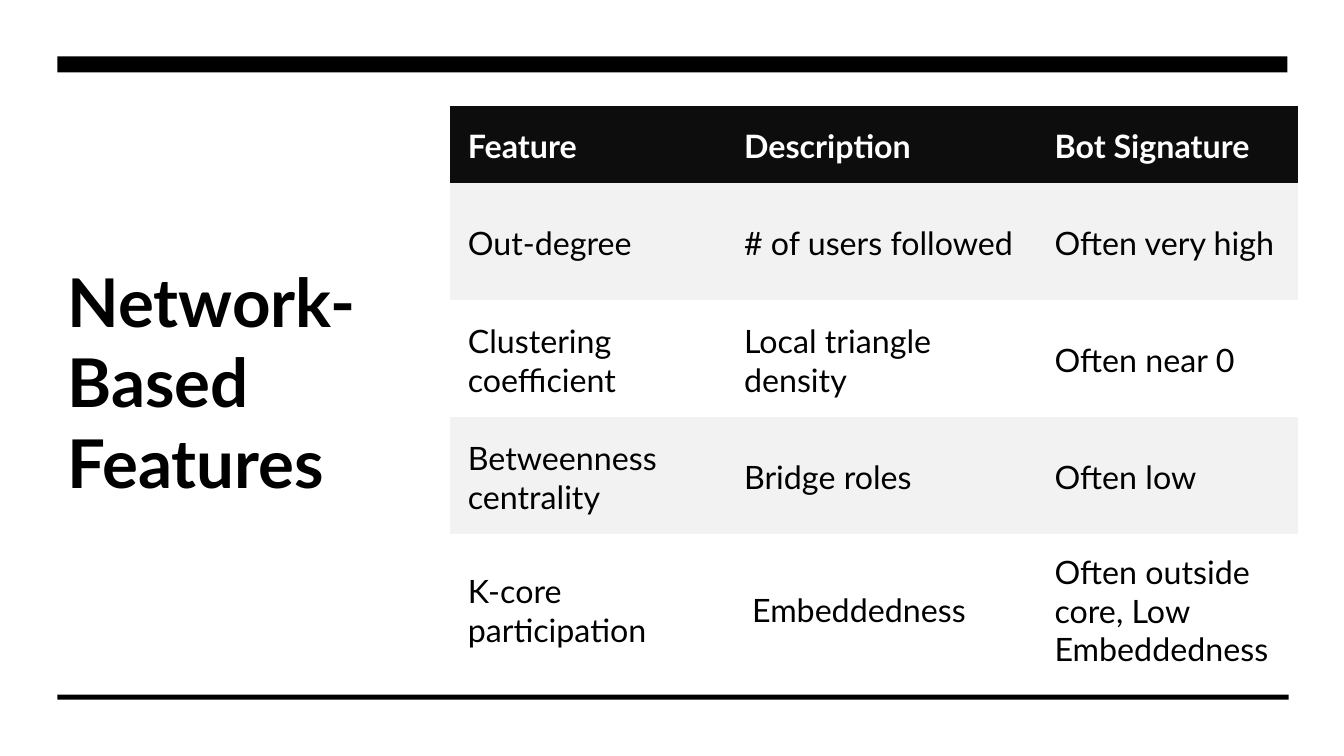
"""Build the slide on network-based features of bots."""
from dataclasses import dataclass

from lxml import etree
from pptx import Presentation
from pptx.dml.color import RGBColor
from pptx.enum.shapes import MSO_SHAPE
from pptx.enum.text import MSO_ANCHOR
from pptx.oxml.ns import qn
from pptx.util import Inches, Pt

RECTANGLE = MSO_SHAPE.RECTANGLE
MIDDLE = MSO_ANCHOR.MIDDLE
BOTTOM = MSO_ANCHOR.BOTTOM
NO_STYLE_NO_GRID = "{2D5ABB26-0587-4C30-8999-92F81FD0307C}"


@dataclass(frozen=True)
class Theme:
    """Font, colours and type sizes of the slide."""
    font: str = "Lato"
    paper: str = "FFFFFF"
    ink: str = "000000"
    header: str = "0D0D0D"
    band: str = "F2F2F2"
    title_size: int = 48
    table_size: int = 23


THEME = Theme()
SLIDE_SIZE = (13.33, 7.5)
COLUMN_WIDTHS = (2.74, 3.08, 2.59)
HEADER_HEIGHT = 0.77
ROW_HEIGHT = 1.16
CELL_MARGIN = 0.18
CELL_BOTTOM_MARGIN = 0.15
EMBEDDEDNESS_INDENT = 0.08
FEATURES = (
    ("Feature", "Description", "Bot Signature"),
    ("Out-degree", "# of users followed", "Often very high"),
    ("Clustering coefficient", "Local triangle density", "Often near 0"),
    ("Betweenness centrality", "Bridge roles", "Often low"),
    ("K-core participation", "Embeddedness", "Often outside core, Low Embeddedness"),
)


def write_text(text_frame, text, *, size, color=THEME.ink, bold=False):
    """Write one formatted paragraph into a text frame."""
    text_frame.word_wrap = True
    paragraph = text_frame.paragraphs[0]
    run = paragraph.add_run()
    run.text = text
    run.font.name = THEME.font
    run.font.size = Pt(size)
    run.font.bold = bold
    run.font.color.rgb = RGBColor.from_string(color)


def add_block(slide, left, top, width, height, color):
    """Add a plain filled rectangle."""
    shape = slide.shapes.add_shape(
        RECTANGLE, Inches(left), Inches(top), Inches(width), Inches(height))
    shape.shadow.inherit = False
    shape.fill.solid()
    shape.fill.fore_color.rgb = RGBColor.from_string(color)
    shape.line.fill.background()


def add_title(slide, text, left, top, width, height):
    """Add the bottom-anchored title."""
    box = slide.shapes.add_textbox(
        Inches(left), Inches(top), Inches(width), Inches(height))
    box.text_frame.vertical_anchor = BOTTOM
    write_text(box.text_frame, text, size=THEME.title_size, bold=True)


def fill_cell(cell, text, row_index):
    """Write a table cell and colour it by the place of its row."""
    indent = EMBEDDEDNESS_INDENT if text == "Embeddedness" else 0
    cell.margin_left = Inches(CELL_MARGIN + indent)
    cell.margin_top = cell.margin_right = Inches(CELL_MARGIN)
    cell.margin_bottom = Inches(CELL_BOTTOM_MARGIN)
    cell.vertical_anchor = MIDDLE
    is_header = row_index == 0
    if is_header or row_index % 2:
        cell.fill.solid()
        color = THEME.header if is_header else THEME.band
        cell.fill.fore_color.rgb = RGBColor.from_string(color)
    else:
        cell.fill.background()
    write_text(cell.text_frame, text, size=THEME.table_size, bold=is_header,
               color=THEME.paper if is_header else THEME.ink)


def add_feature_table(slide, left, top):
    """Add the table of features with a dark header and banded rows."""
    row_heights = [HEADER_HEIGHT] + [ROW_HEIGHT] * (len(FEATURES) - 1)
    table = slide.shapes.add_table(
        len(FEATURES), len(COLUMN_WIDTHS), Inches(left), Inches(top),
        Inches(sum(COLUMN_WIDTHS)), Inches(sum(row_heights))).table
    properties = table._tbl.tblPr
    for style in properties.findall(qn("a:tableStyleId")):
        properties.remove(style)
    etree.SubElement(properties, qn("a:tableStyleId")).text = NO_STYLE_NO_GRID
    for column, width in zip(table.columns, COLUMN_WIDTHS):
        column.width = Inches(width)
    for row_index, texts in enumerate(FEATURES):
        row = table.rows[row_index]
        row.height = Inches(row_heights[row_index])
        for cell, text in zip(row.cells, texts):
            fill_cell(cell, text, row_index)


def main():
    """Build and save the slide."""
    presentation = Presentation()
    presentation.slide_width, presentation.slide_height = map(Inches, SLIDE_SIZE)
    slide = presentation.slides.add_slide(presentation.slide_layouts[6])
    add_block(slide, 0, 0, *SLIDE_SIZE, THEME.paper)
    add_title(slide, "Network-Based Features", 0.57, 1.76, 3.9, 3.27)
    add_block(slide, 0.57, 0.56, 12.2, 0.16, THEME.ink)
    add_block(slide, 0.57, 6.89, 12.21, 0.05, THEME.ink)
    add_feature_table(slide, 4.46, 1.05)
    presentation.save("out.pptx")


if __name__ == "__main__":
    main()
